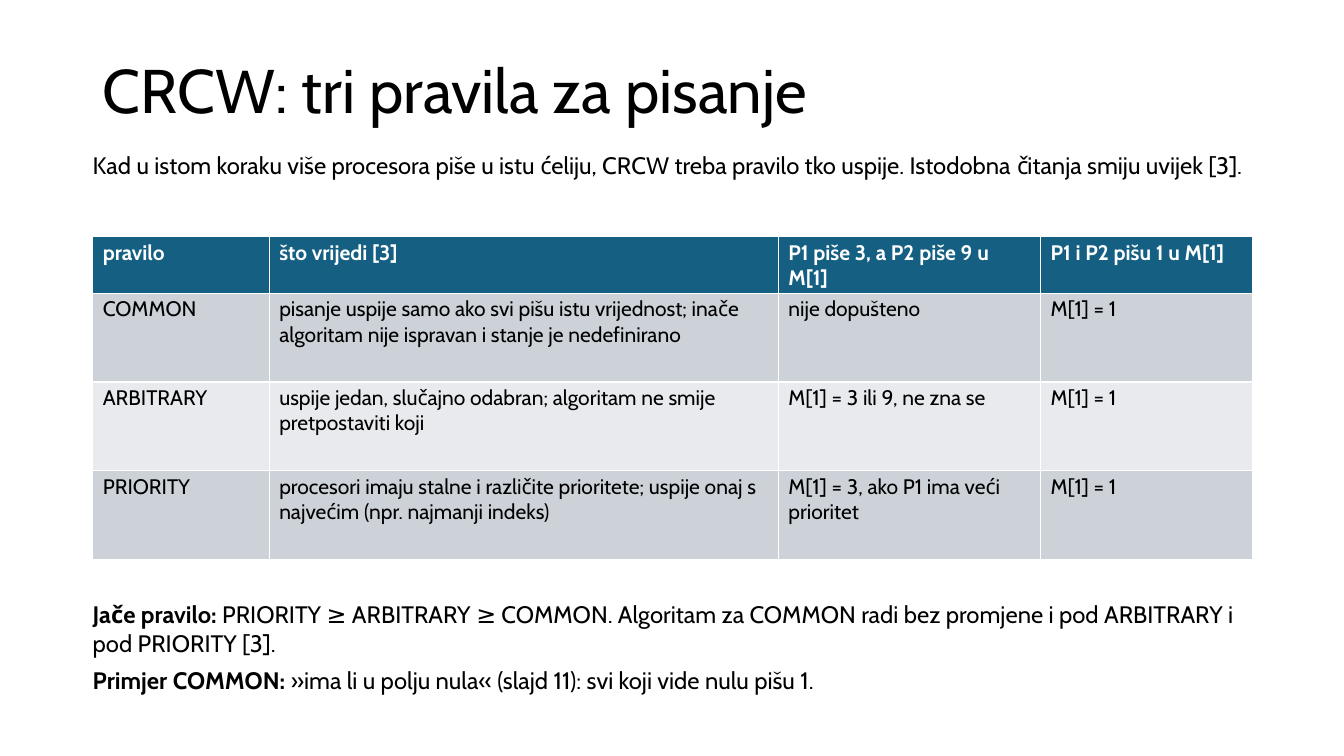
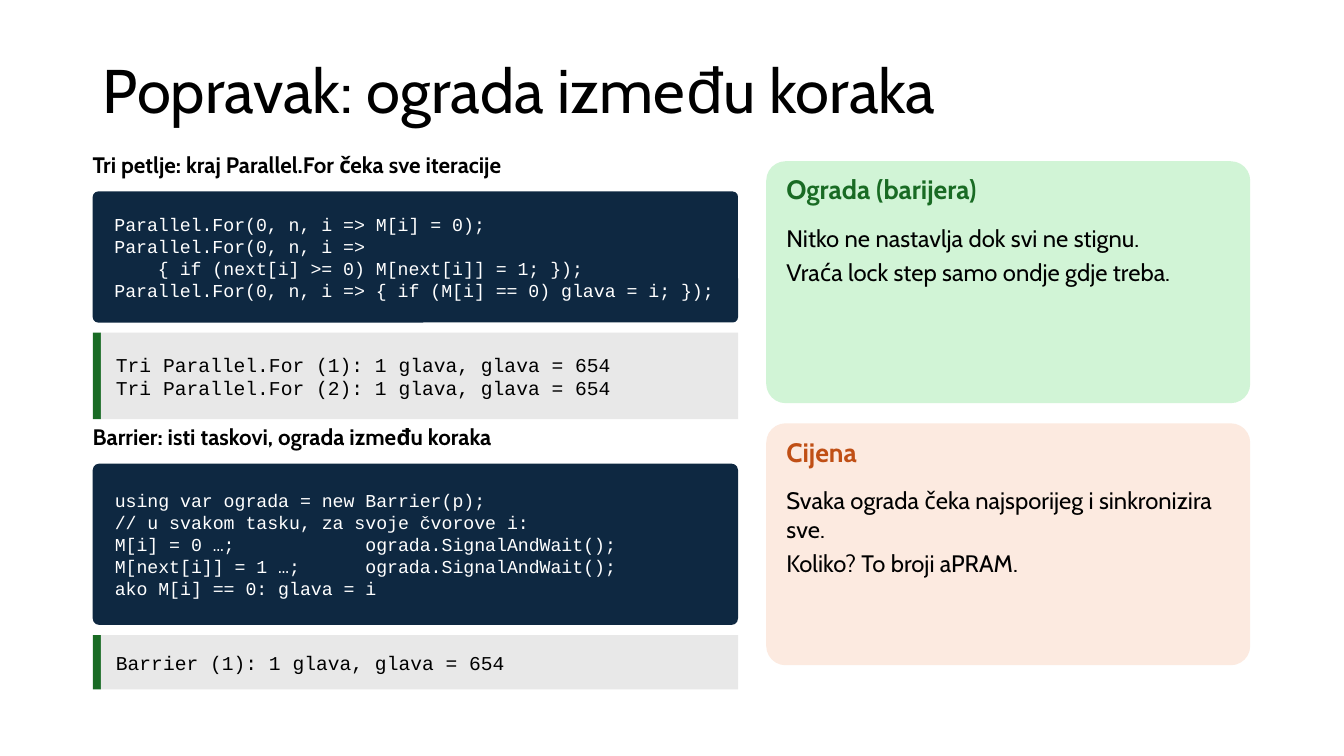
from pptx import Presentation
from pptx import util as u
from pptx.dml.color import RGBColor
from pptx.enum import shapes, text

# Shared style: 100 px make one inch
PX = 9144
LEFT, WIDTH = 92, 1150
BLACK, WHITE, GREEN, ORANGE = "000000", "FFFFFF", "196B24", "C04F15"
NAVY, TEAL, GREY = "0E2841", "156082", "E8E8E8"
BANDS = ["CCD2D8", "E8EAED"]
SANS, MONO = "Cabin", "Courier New"
CODE = dict(size=13, name=MONO, color=WHITE)
OUTPUT = dict(size=14, name=MONO)
BODY = dict(size=17)

# Slide 1 content
RULES_TITLE = "CRCW: tri pravila za pisanje"
RULES_INTRO = ("Kad u istom koraku više procesora piše u istu ćeliju, CRCW treba "
               "pravilo tko uspije. Istodobna čitanja smiju uvijek [3].")
COLUMNS = [175, 505, 260, 210]
ROWS = [50, 88, 88, 88]
RULES = [
    ("pravilo", "što vrijedi [3]", "P1 piše 3, a P2 piše 9 u M[1]", "P1 i P2 pišu 1 u M[1]"),
    ("COMMON", "pisanje uspije samo ako svi pišu istu vrijednost; inače algoritam "
     "nije ispravan i stanje je nedefinirano", "nije dopušteno", "M[1] = 1"),
    ("ARBITRARY", "uspije jedan, slučajno odabran; algoritam ne smije pretpostaviti koji",
     "M[1] = 3 ili 9, ne zna se", "M[1] = 1"),
    ("PRIORITY", "procesori imaju stalne i različite prioritete; uspije onaj s najvećim "
     "(npr. najmanji indeks)", "M[1] = 3, ako P1 ima veći prioritet", "M[1] = 1"),
]
RULES_NOTES = [
    [("Jače pravilo: ", True),
     ("PRIORITY ≥ ARBITRARY ≥ COMMON. Algoritam za COMMON radi bez promjene "
      "i pod ARBITRARY i pod PRIORITY [3].", False)],
    [("Primjer COMMON: ", True),
     ("»ima li u polju nula« (slajd 11): svi koji vide nulu pišu 1.", False)],
]

# Slide 2 content: (top, heading, code height, code, output height, output)
FIX_TITLE = "Popravak: ograda između koraka"
LISTINGS = [
    (150, "Tri petlje: kraj Parallel.For čeka sve iteracije",
     130, ["Parallel.For(0, n, i => M[i] = 0);",
           "Parallel.For(0, n, i =>",
           "    { if (next[i] >= 0) M[next[i]] = 1; });",
           "Parallel.For(0, n, i => { if (M[i] == 0) glava = i; });"],
     86, ["Tri Parallel.For (1): 1 glava, glava = 654",
          "Tri Parallel.For (2): 1 glava, glava = 654"]),
    (420, "Barrier: isti taskovi, ograda između koraka",
     160, ["using var ograda = new Barrier(p);",
           "// u svakom tasku, za svoje čvorove i:",
           "M[i] = 0 …;            ograda.SignalAndWait();",
           "M[next[i]] = 1 …;      ograda.SignalAndWait();",
           "ako M[i] == 0: glava = i"],
     54, ["Barrier (1): 1 glava, glava = 654"]),
]
# (top, heading, heading colour, fill, lines)
CARDS = [
    (160, "Ograda (barijera)", GREEN, "D1F4D6",
     ["Nitko ne nastavlja dok svi ne stignu.", "Vraća lock step samo ondje gdje treba."]),
    (420, "Cijena", ORANGE, "FCEAE0",
     ["Svaka ograda čeka najsporijeg i sinkronizira sve.", "Koliko? To broji aPRAM."]),
]


def rgb(value):
    return RGBColor.from_string(value)


def px(*values):
    return [u.Emu(v * PX) for v in values]


def write(tf, lines, size=17, name=SANS, color=BLACK, bold=False, **spacing):
    """Fill a frame; a line is a string or a list of (text, bold) runs."""
    for i, line in enumerate(lines):
        p = tf.paragraphs[0] if i == 0 else tf.add_paragraph()
        p.alignment = text.PP_ALIGN.LEFT
        for key, value in spacing.items():
            setattr(p, key, value)
        for words, strong in [(line, bold)] if isinstance(line, str) else line:
            r = p.add_run()
            r.text = words
            for key, value in dict(size=u.Pt(size), name=name, bold=strong).items():
                setattr(r.font, key, value)
            r.font.color.rgb = rgb(color)


def set_margins(target, margins):
    for side, value in zip(("left", "top", "right", "bottom"), px(*margins)):
        setattr(target, "margin_" + side, value)


def add_text(s, box, lines, margins=(0, 0, 0, 0), anchor="TOP", **style):
    tf = s.shapes.add_textbox(*px(*box)).text_frame
    tf.word_wrap = True
    tf.vertical_anchor = text.MSO_ANCHOR[anchor]
    set_margins(tf, margins)
    write(tf, lines, **style)


def add_panel(s, box, fill, radius=0, lines=(), inset=10, **style):
    kind = "ROUNDED_RECTANGLE" if radius else "RECTANGLE"
    sp = s.shapes.add_shape(shapes.MSO_SHAPE[kind], *px(*box))
    if radius:
        sp.adjustments[0] = radius
    sp.shadow.inherit = False
    sp.fill.solid()
    sp.fill.fore_color.rgb = rgb(fill)
    sp.line.fill.background()
    tf = sp.text_frame
    tf.word_wrap = True
    tf.vertical_anchor = text.MSO_ANCHOR.MIDDLE
    set_margins(tf, (inset, 5, 10, 5))
    write(tf, lines, **style)


def add_slide(prs, title):
    s = prs.slides.add_slide(prs.slide_layouts[6])
    add_text(s, (LEFT, 40, WIDTH, 106), [title], margins=(10, 5, 10, 5),
             anchor="MIDDLE", size=44, line_spacing=0.9)
    return s


def add_rules_table(s):
    frame = s.shapes.add_table(len(ROWS), len(COLUMNS), *px(LEFT, 235, WIDTH, sum(ROWS)))
    table = frame.table
    for column, width in zip(table.columns, COLUMNS):
        column.width = px(width)[0]
    for i, (row, height) in enumerate(zip(table.rows, ROWS)):
        row.height = px(height)[0]
        header = i == 0
        for cell, words in zip(row.cells, RULES[i]):
            cell.fill.solid()
            cell.fill.fore_color.rgb = rgb(TEAL if header else BANDS[(i - 1) % 2])
            set_margins(cell, (10, 3, 10, 3))
            write(cell.text_frame, [words], size=15, bold=header,
                  color=WHITE if header else BLACK)


def add_listing(s, top, heading, code_height, code, output_height, output):
    width, bar = 640, 8
    code_top = top + 40
    output_top = code_top + code_height + 10
    add_text(s, (LEFT, top, width, 40), [heading], size=16, bold=True)
    add_panel(s, (LEFT, code_top, width, code_height), NAVY, 0.04, code, 20, **CODE)
    add_panel(s, (LEFT, output_top, bar, output_height), GREEN)
    add_panel(s, (LEFT + bar, output_top, width - bar, output_height), GREY,
              lines=output, inset=15, **OUTPUT)


def add_card(s, top, heading, color, fill, lines):
    left, width, pad = 760, 480, 20
    inner = width - 2 * pad
    add_panel(s, (left, top, width, 240), fill, 0.08)
    add_text(s, (left + pad, top + 12, inner, 45), [heading], size=19, color=color, bold=True)
    add_text(s, (left + pad, top + 62, inner, 170), lines, space_after=u.Pt(4), **BODY)


def main():
    prs = Presentation()
    prs.slide_width, prs.slide_height = px(1333, 750)

    # Write rules
    s = add_slide(prs, RULES_TITLE)
    add_text(s, (LEFT, 150, WIDTH, 50), [RULES_INTRO], **BODY)
    add_rules_table(s)
    add_text(s, (LEFT, 595, WIDTH, 100), RULES_NOTES, space_after=u.Pt(6), **BODY)

    # Barrier between steps
    s = add_slide(prs, FIX_TITLE)
    for listing in LISTINGS:
        add_listing(s, *listing)
    for card in CARDS:
        add_card(s, *card)

    prs.save("out.pptx")


if __name__ == "__main__":
    main()
